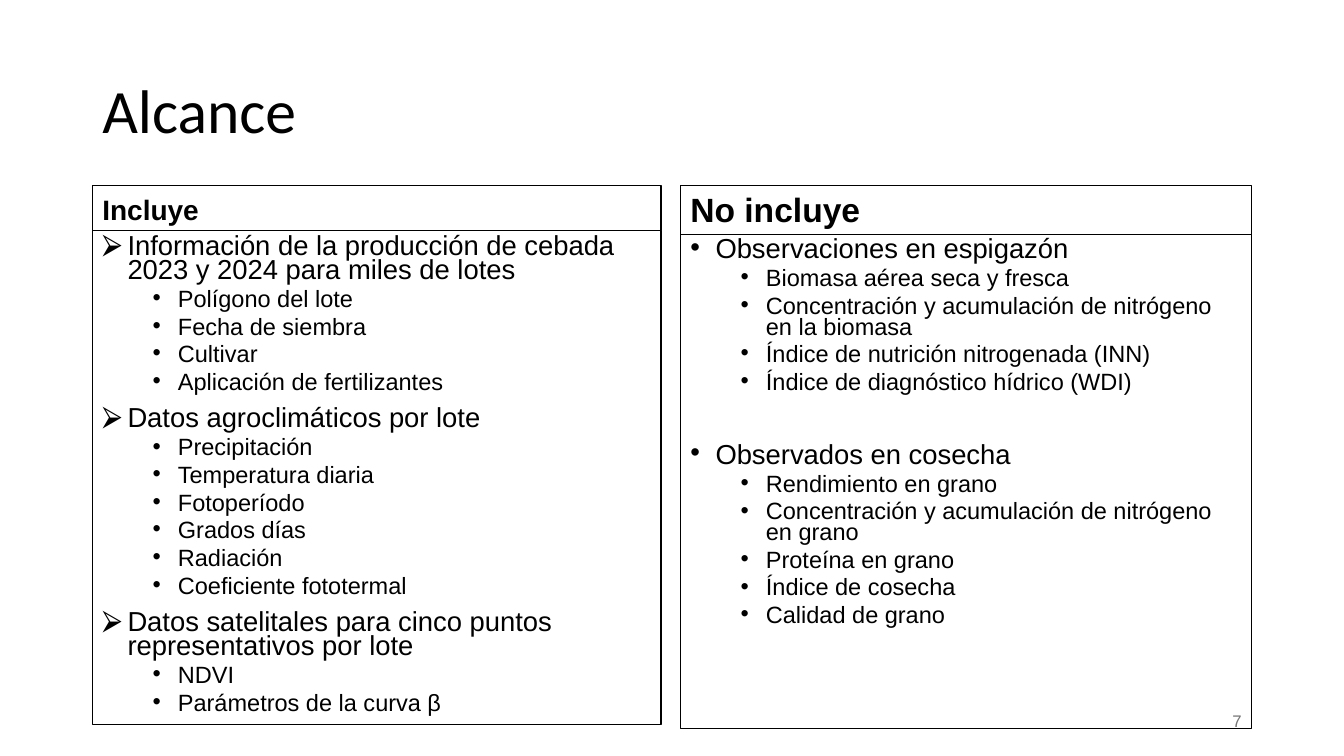
from dataclasses import dataclass

from lxml.etree import SubElement
from pptx import Presentation
from pptx.dml.color import RGBColor
from pptx.enum.shapes import MSO_SHAPE
from pptx.enum.text import MSO_ANCHOR, PP_ALIGN
from pptx.oxml.ns import qn
from pptx.util import Inches, Pt


@dataclass(frozen=True)
class Theme:
    """Colours, fonts and type sizes of the slide."""
    ink: str = "000000"
    muted: str = "757575"
    heading_font: str = "Calibri"
    body_font: str = "Arial"
    title_size: float = 44
    topic_size: float = 19.6
    detail_size: float = 16.8
    number_size: float = 12
    outline: float = 0.75
    heading_spacing: float = 0.9
    list_spacing: float = 0.73


class ScopePage:
    """Draws scope panels on a grid of 160 columns by 90 rows."""

    def __init__(self, deck, theme):
        self.theme = theme
        self.page = deck.slides.add_slide(deck.slide_layouts[6])
        self.column = deck.slide_width / 160
        self.row = deck.slide_height / 90

    def place(self, left, top, width, height):
        """Turn grid units into lengths."""
        return (round(left * self.column), round(top * self.row),
                round(width * self.column), round(height * self.row))

    def style(self, para, size, font=None, color=None, bold=False):
        """Set the font of a whole paragraph."""
        para.font.name = font or self.theme.body_font
        para.font.size = Pt(size)
        para.font.bold = bold
        para.font.color.rgb = RGBColor.from_string(color or self.theme.ink)

    def label(self, text, area, size, spacing=1.0, align=PP_ALIGN.LEFT, **look):
        """Add one line of free text."""
        frame = self.page.shapes.add_textbox(*self.place(*area)).text_frame
        frame.word_wrap = True
        frame.vertical_anchor = MSO_ANCHOR.MIDDLE
        para = frame.paragraphs[0]
        para.text = text
        para.alignment = align
        para.line_spacing = spacing
        self.style(para, size, **look)

    def box(self, area, anchor):
        """Add an outlined rectangle and return its text frame."""
        box = self.page.shapes.add_shape(MSO_SHAPE.RECTANGLE, *self.place(*area))
        box.shadow.inherit = False
        box.fill.background()
        box.line.color.rgb = RGBColor.from_string(self.theme.ink)
        box.line.width = Pt(self.theme.outline)
        box.text_frame.word_wrap = True
        box.text_frame.vertical_anchor = anchor
        return box.text_frame

    def bullet(self, para, text, level, mark, before):
        """Fill a paragraph as a list item."""
        para.text = text
        para.level = level
        para.alignment = PP_ALIGN.LEFT
        para.line_spacing = self.theme.list_spacing
        para.space_before = Pt(before)
        properties = para._p.get_or_add_pPr()
        properties.set("marL", str(Inches(0.25 + 0.5 * level)))
        properties.set("indent", str(Inches(-0.25)))
        color = SubElement(properties, qn("a:buClr"))
        SubElement(color, qn("a:srgbClr"), val=self.theme.ink)
        SubElement(properties, qn("a:buFont"), typeface=self.theme.body_font)
        SubElement(properties, qn("a:buChar"), char=mark)
        self.style(para, self.theme.detail_size if level else self.theme.topic_size)

    def panel(self, left, width, heading, heading_size, heading_rows, mark, topic_gap, topics):
        """Add a heading box above a two-level list box."""
        top, list_rows = 22.1, 58.8
        para = self.box((left, top, width, heading_rows), MSO_ANCHOR.BOTTOM).paragraphs[0]
        para.text = heading
        para.alignment = PP_ALIGN.LEFT
        para.line_spacing = self.theme.heading_spacing
        self.style(para, heading_size, bold=True)
        frame = self.box((left, top + heading_rows, width, list_rows), MSO_ANCHOR.TOP)
        for index, (topic, details) in enumerate(topics.items()):
            para = frame.add_paragraph() if index else frame.paragraphs[0]
            self.bullet(para, topic, 0, mark, topic_gap if index else 0)
            for detail in details:
                self.bullet(frame.add_paragraph(), detail, 1, "•", 5)


INCLUDED = {
    "Información de la producción de cebada 2023 y 2024 para miles de lotes": [
        "Polígono del lote", "Fecha de siembra", "Cultivar", "Aplicación de fertilizantes"],
    "Datos agroclimáticos por lote": [
        "Precipitación", "Temperatura diaria", "Fotoperíodo", "Grados días",
        "Radiación", "Coeficiente fototermal"],
    "Datos satelitales para cinco puntos representativos por lote": [
        "NDVI", "Parámetros de la curva β"],
}
EXCLUDED = {
    "Observaciones en espigazón": [
        "Biomasa aérea seca y fresca",
        "Concentración y acumulación de nitrógeno en la biomasa",
        "Índice de nutrición nitrogenada (INN)", "Índice de diagnóstico hídrico (WDI)"],
    "Observados en cosecha": [
        "Rendimiento en grano", "Concentración y acumulación de nitrógeno en grano",
        "Proteína en grano", "Índice de cosecha", "Calidad de grano"],
}


def main():
    """Build and save the scope slide."""
    deck = Presentation()
    deck.slide_width, deck.slide_height = Inches(13.33), Inches(7.5)
    theme = Theme()
    scope = ScopePage(deck, theme)
    scope.label("Alcance", (11, 4.8, 138, 17.4), theme.title_size,
                theme.heading_spacing, font=theme.heading_font)
    scope.panel(11, 67.7, "Incluye", 20, 5.4, "⮚", 10, INCLUDED)
    scope.panel(81, 68, "No incluye", 24, 5.8, "•", 36, EXCLUDED)
    scope.label("7", (113, 83.4, 36, 4.8), theme.number_size,
                align=PP_ALIGN.RIGHT, color=theme.muted)
    deck.save("out.pptx")


if __name__ == "__main__":
    main()
